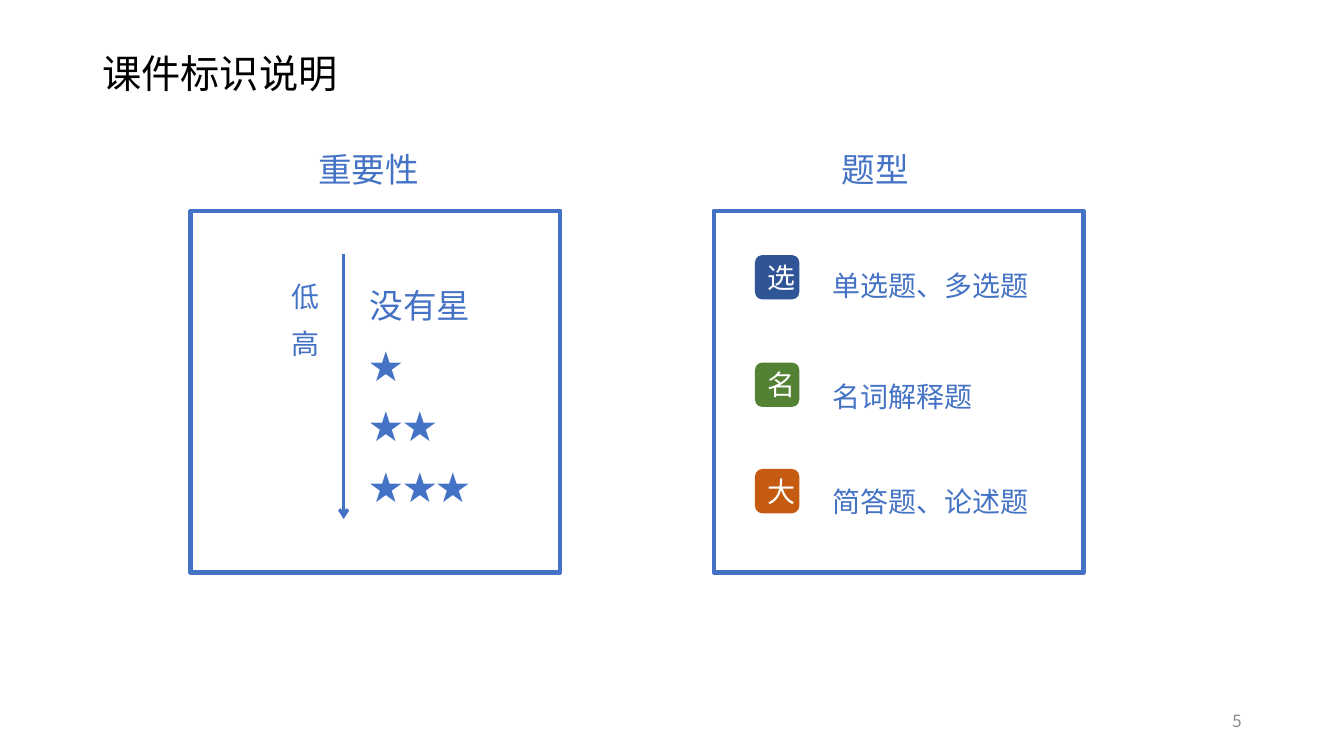
from dataclasses import dataclass

from lxml.etree import SubElement
from pptx import Presentation
from pptx.dml.color import RGBColor
from pptx.enum.shapes import MSO_CONNECTOR, MSO_SHAPE
from pptx.enum.text import MSO_ANCHOR, MSO_AUTO_SIZE, PP_ALIGN
from pptx.oxml.ns import qn
from pptx.util import Pt


@dataclass(frozen=True)
class Theme:
    font: str = "Noto Sans CJK SC"
    black: str = "000000"
    white: str = "FFFFFF"
    gray: str = "8C8C8C"
    blue: str = "4472C4"
    navy: str = "2F5597"
    green: str = "548235"
    orange: str = "C55A11"
    title_size: int = 28
    heading_size: int = 24
    label_size: int = 20
    number_size: int = 12


THEME = Theme()
PANEL_TOP, PANEL_WIDTH, PANEL_HEIGHT = 150.5, 264.2, 258.5
PANELS = [("重要性", 136.1, 220.3), ("题型", 509.8, 594)]
QUESTION_TYPES = [
    ("选", "单选题、多选题", THEME.navy, 182.2, 176.4),
    ("名", "名词解释题", THEME.green, 259, 255.6),
    ("大", "简答题、论述题", THEME.orange, 335, 330.5),
]


def apply_format(target, values):
    for name, value in values.items():
        setattr(target, name, value)


def write_text(shape, lines, size, color, paragraph_format=None, frame_format=None):
    frame = shape.text_frame
    apply_format(frame, {"word_wrap": True, **(frame_format or {})})
    for index, line in enumerate(lines):
        para = frame.paragraphs[0] if index == 0 else frame.add_paragraph()
        apply_format(para, paragraph_format or {})
        span = para.add_run()
        span.text = line
        apply_format(span.font, {"name": THEME.font, "size": Pt(size)})
        span.font.color.rgb = RGBColor.from_string(color)
        properties = span._r.get_or_add_rPr()
        SubElement(properties, qn("a:ea")).set("typeface", THEME.font)


def add_text(page, bounds, lines, size, color, paragraph_format=None, frame_format=None):
    box = page.shapes.add_textbox(*map(Pt, bounds))
    write_text(box, lines, size, color, paragraph_format, frame_format)
    return box


def add_title(page, text):
    title = page.shapes.title
    bounds = {"left": 66, "top": 28.8, "width": 828, "height": 51.1}
    apply_format(title, {name: Pt(value) for name, value in bounds.items()})
    write_text(title, [text], THEME.title_size, THEME.black,
               {"alignment": PP_ALIGN.LEFT, "line_spacing": 0.9},
               {"vertical_anchor": MSO_ANCHOR.MIDDLE})


def add_panel(page, heading, left, heading_left):
    panel = page.shapes.add_shape(
        MSO_SHAPE.RECTANGLE, Pt(left), Pt(PANEL_TOP), Pt(PANEL_WIDTH), Pt(PANEL_HEIGHT))
    panel.shadow.inherit = False
    panel.fill.background()
    panel.line.color.rgb = RGBColor.from_string(THEME.blue)
    panel.line.width = Pt(3)
    add_text(page, (heading_left, 105.8, 95.8, 49), [heading],
             THEME.heading_size, THEME.blue,
             {"alignment": PP_ALIGN.JUSTIFY, "line_spacing": 0.9})


def add_arrow(page, left, top, bottom):
    arrow = page.shapes.add_connector(
        MSO_CONNECTOR.STRAIGHT, Pt(left), Pt(top), Pt(left), Pt(bottom))
    arrow.line.color.rgb = RGBColor.from_string(THEME.blue)
    arrow.line.width = Pt(2.25)
    SubElement(arrow.line._get_or_add_ln(), qn("a:tailEnd")).set("type", "arrow")
    SubElement(arrow._element.spPr, qn("a:effectLst"))


def add_importance_scale(page):
    add_text(page, (257, 185.8, 142.6, 181.4),
             ["没有星"] + ["★" * count for count in range(1, 4)],
             THEME.heading_size, THEME.blue, {"line_spacing": 1.5},
             {"auto_size": MSO_AUTO_SIZE.SHAPE_TO_FIT_TEXT})
    add_arrow(page, 245.5, 181.4, 370.8)
    scale = add_text(page, (194.4, 195.1, 38.9, 162), ["低 高"],
                     THEME.label_size, THEME.blue, {"alignment": PP_ALIGN.JUSTIFY})
    scale.text_frame._txBody.bodyPr.set("vert", "eaVert")
    scale.text_frame.paragraphs[0].runs[0]._r.get_or_add_rPr().set("spc", "450")


def add_question_type(page, mark, label, color, badge_top, label_top):
    badge = page.shapes.add_shape(
        MSO_SHAPE.ROUNDED_RECTANGLE, Pt(539.3), Pt(badge_top), Pt(31.7), Pt(31.7))
    badge.shadow.inherit = False
    badge.fill.solid()
    badge.fill.fore_color.rgb = RGBColor.from_string(color)
    badge.line.fill.background()
    write_text(badge, [mark], THEME.label_size, THEME.white,
               {"alignment": PP_ALIGN.CENTER}, {"vertical_anchor": MSO_ANCHOR.MIDDLE})
    add_text(page, (587.5, label_top, 158.4, 39.6), [label],
             THEME.label_size, THEME.blue, {"line_spacing": 1.5},
             {"auto_size": MSO_AUTO_SIZE.SHAPE_TO_FIT_TEXT})


def main():
    deck = Presentation()
    deck.slide_width, deck.slide_height = Pt(960), Pt(540)
    page = deck.slides.add_slide(deck.slide_layouts[5])
    add_title(page, "课件标识说明")
    for panel in PANELS:
        add_panel(page, *panel)
    add_importance_scale(page)
    for question_type in QUESTION_TYPES:
        add_question_type(page, *question_type)
    add_text(page, (678, 500.5, 216, 28.8), ["5"], THEME.number_size, THEME.gray,
             {"alignment": PP_ALIGN.RIGHT}, {"vertical_anchor": MSO_ANCHOR.MIDDLE})
    deck.save("out.pptx")


if __name__ == "__main__":
    main()
